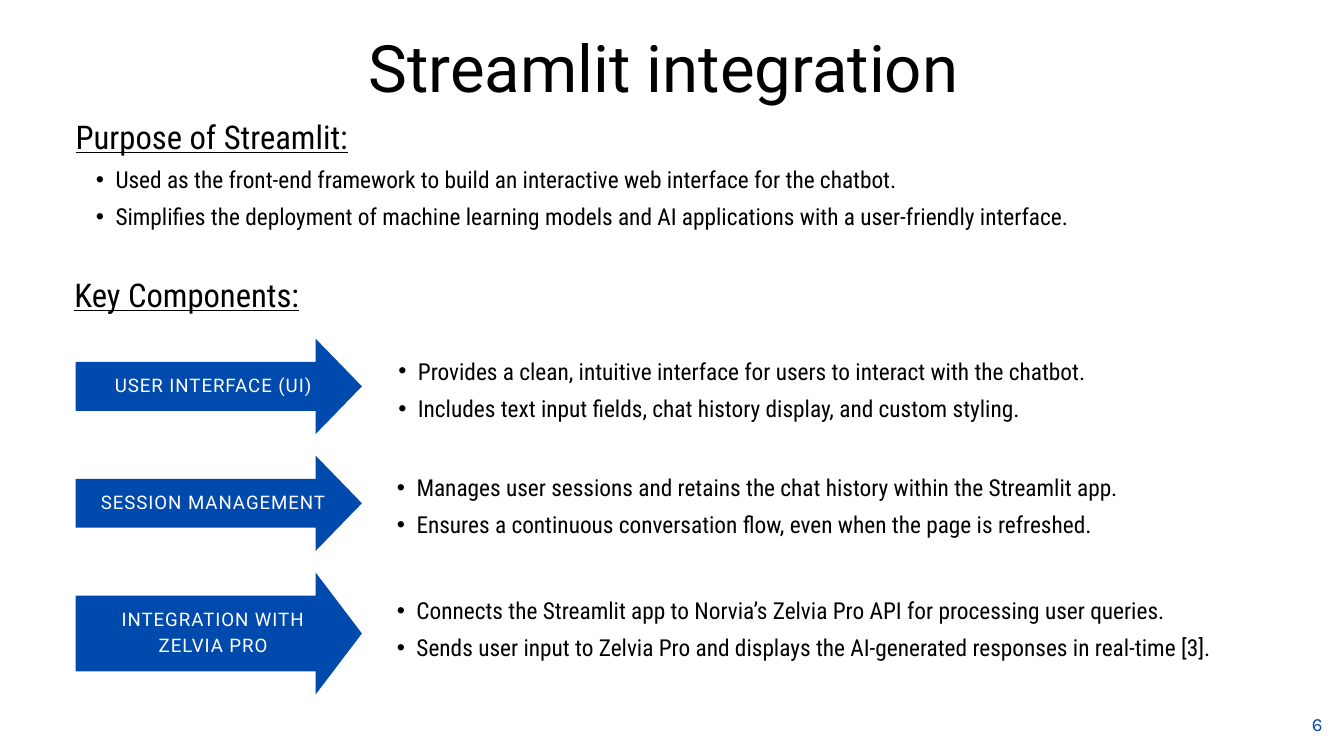
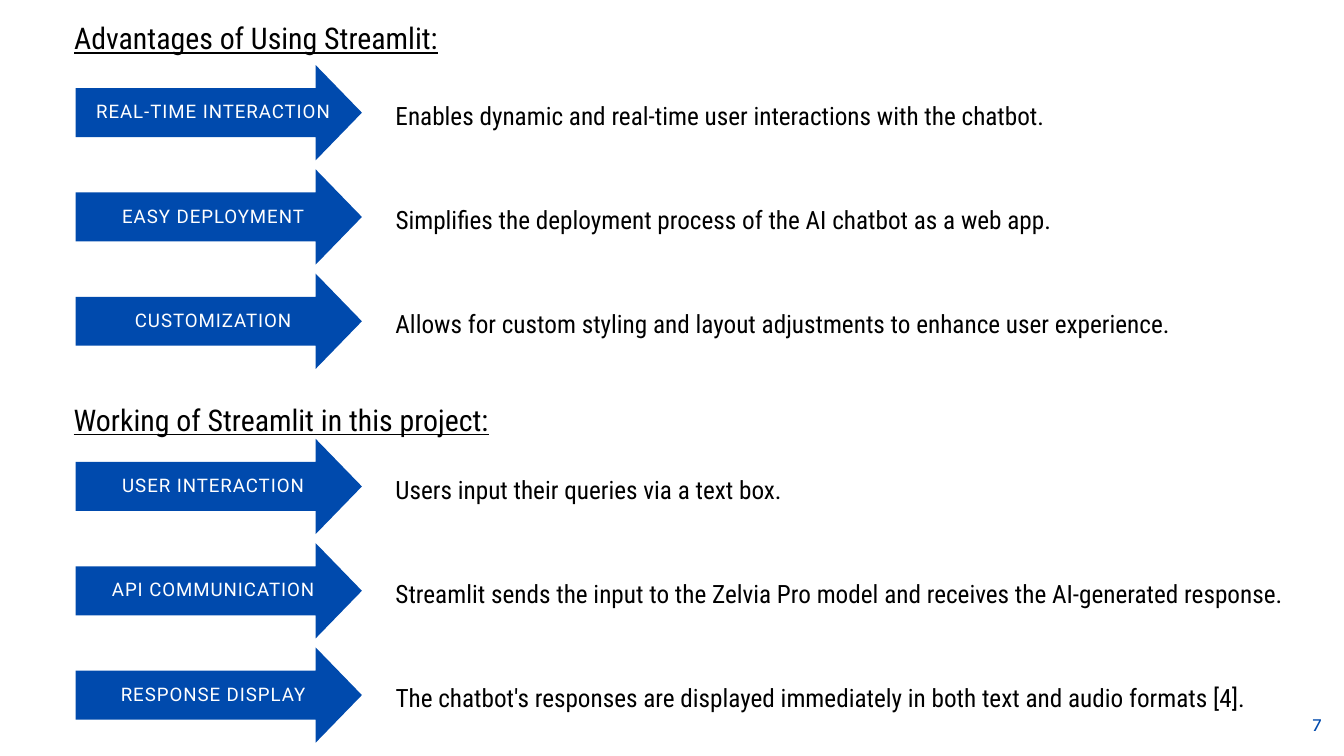
"""Build two slides on the Streamlit part of a chatbot project."""
from lxml import etree
from pptx import Presentation
from pptx import util as u
from pptx.dml.color import RGBColor
from pptx.enum import text
from pptx.oxml import ns

PX = 9525
BLUE = RGBColor(0x00, 0x4A, 0xAD)
BLACK = RGBColor(0x00, 0x00, 0x00)
WHITE = RGBColor(0xFF, 0xFF, 0xFF)
SANS, CONDENSED, NUMBER_FONT = "Roboto", "Roboto Condensed", "Karla"

MARGIN = 108
ARROW_WIDTH, ARROW_HEIGHT, TALL_ARROW = 409, 136, 174
HEAD_X, SHOULDER = 343, 33
COMPONENT_STEP, STATEMENT_STEP = 167, 149

PURPOSE = [
    "Used as the front-end framework to build an interactive web interface for the chatbot.",
    "Simplifies the deployment of machine learning models and AI applications with a user-friendly interface.",
]
COMPONENTS = [
    ("USER INTERFACE (UI)", ARROW_HEIGHT, (540, 13, 1068), [
        "Provides a clean, intuitive interface for users to interact with the chatbot.",
        "Includes text input fields, chat history display, and custom styling."]),
    ("SESSION MANAGEMENT", ARROW_HEIGHT, (538, 12, 1123), [
        "Manages user sessions and retains the chat history within the Streamlit app.",
        "Ensures a continuous conversation flow, even when the page is refreshed."]),
    ("INTEGRATION WITH ZELVIA PRO", TALL_ARROW, (538, 21, 1212), [
        "Connects the Streamlit app to Norvia’s Zelvia Pro API for processing user queries.",
        "Sends user input to Zelvia Pro and displays the AI-generated responses in real-time [3]."]),
]
ADVANTAGES = [
    ("REAL-TIME INTERACTION", 1068,
     "Enables dynamic and real-time user interactions with the chatbot."),
    ("EASY DEPLOYMENT", 1123,
     "Simplifies the deployment process of the AI chatbot as a web app."),
    ("CUSTOMIZATION", 1178,
     "Allows for custom styling and layout adjustments to enhance user experience."),
]
WORKING = [
    ("USER INTERACTION", 1068,
     "Users input their queries via a text box."),
    ("API COMMUNICATION", 1292,
     "Streamlit sends the input to the Zelvia Pro model and receives the AI-generated response."),
    ("RESPONSE DISPLAY", 1225,
     "The chatbot's responses are displayed immediately in both text and audio formats [4]."),
]


def add_frame(shapes, left, top, width, height, inset=0, grow=True):
    """Add a wrapping text box and return its text frame."""
    frame = shapes.add_textbox(*(n * PX for n in (left, top, width, height))).text_frame
    frame.word_wrap = True
    frame.auto_size = text.MSO_AUTO_SIZE.SHAPE_TO_FIT_TEXT if grow else text.MSO_AUTO_SIZE.NONE
    frame.margin_left = frame.margin_right = inset * PX
    frame.margin_top = frame.margin_bottom = inset * PX
    return frame


def add_line(frame, words, size, spacing, font=CONDENSED, color=BLACK,
             centered=False, underline=False, bullet=False, tracking=0):
    """Write one formatted paragraph at the end of a text frame."""
    para = frame.add_paragraph() if frame.text else frame.paragraphs[0]
    para.alignment = text.PP_ALIGN.CENTER if centered else text.PP_ALIGN.LEFT
    para.line_spacing = u.Pt(spacing)
    span = para.add_run()
    span.text = words
    span.font.size = u.Pt(size)
    span.font.name = font
    span.font.color.rgb = color
    span.font.underline = underline
    if tracking:
        span.font._element.set("spc", str(tracking * 100))
    if bullet:
        para.level = 1
        props = para._p.get_or_add_pPr()
        props.set("marL", str(57 * PX))
        props.set("indent", str(-28 * PX))
        etree.SubElement(props, ns.qn("a:buFont")).set("typeface", "Arial")
        etree.SubElement(props, ns.qn("a:buChar")).set("char", "•")


def add_heading(page, words, box, size):
    """Add an underlined section heading centred in its box."""
    add_line(add_frame(page.shapes, *box), words, size, size * 1.4,
             centered=True, underline=True)


def add_arrow(page, label, top, height=ARROW_HEIGHT):
    """Add a labelled block arrow at the left margin."""
    group = page.shapes.add_group_shape()
    builder = group.shapes.build_freeform(ARROW_WIDTH, height // 2, scale=PX)
    builder.add_line_segments([
        (HEAD_X, 0), (HEAD_X, SHOULDER), (0, SHOULDER), (0, height - SHOULDER),
        (HEAD_X, height - SHOULDER), (HEAD_X, height)], close=True)
    arrow = builder.convert_to_shape(MARGIN * PX, top * PX)
    arrow.shadow.inherit = False
    arrow.fill.solid()
    arrow.fill.fore_color.rgb = BLUE
    arrow.line.fill.background()
    frame = add_frame(group.shapes, MARGIN, top + 24, 393, height - SHOULDER - 24,
                      inset=20, grow=False)
    frame.vertical_anchor = text.MSO_ANCHOR.MIDDLE
    add_line(frame, label, 20, 28, font=SANS, color=WHITE, centered=True, tracking=1)


def add_components(page, top):
    """Add arrows with a bulleted list beside each."""
    for row, (label, height, (left, drop, width), points) in enumerate(COMPONENTS):
        row_top = top + row * COMPONENT_STEP
        add_arrow(page, label, row_top, height)
        frame = add_frame(page.shapes, left, row_top + drop, width, 153)
        for point in points:
            add_line(frame, point, 25, 39.7, bullet=True)


def add_statements(page, rows, top):
    """Add arrows with one sentence beside each."""
    for row, (label, width, sentence) in enumerate(rows):
        row_top = top + row * STATEMENT_STEP
        add_arrow(page, label, row_top)
        frame = add_frame(page.shapes, 565, row_top + 36, width, 54)
        add_line(frame, sentence, 27, 42.9)


def add_page(deck, number):
    """Add a blank page with its number in the corner."""
    page = deck.slides.add_slide(deck.slide_layouts[6])
    add_line(add_frame(page.shapes, 1874, 1013, 15, 36), str(number), 20, 28,
             font=NUMBER_FONT, color=BLUE, centered=True)
    return page


def build_integration(deck):
    """Build the page on purpose and key components."""
    page = add_page(deck, 6)
    add_line(add_frame(page.shapes, 231, 20, 1457, 127), "Streamlit integration ",
             70, 98, font=SANS, centered=True)
    purpose = add_frame(page.shapes, MARGIN, 148, 1665, 180)
    add_line(purpose, "Purpose of Streamlit:", 35, 56, underline=True)
    for point in PURPOSE:
        add_line(purpose, point, 25, 40, bullet=True)
    add_heading(page, "Key Components:", (33, 383, 468, 61), 35)
    add_components(page, 484)


def build_advantages(deck):
    """Build the page on advantages and working."""
    page = add_page(deck, 7)
    add_heading(page, "Advantages of Using Streamlit:", (52, 20, 628, 57), 32)
    add_statements(page, ADVANTAGES, 93)
    add_heading(page, "Working of Streamlit in this project:", (36, 565, 732, 57), 32)
    add_statements(page, WORKING, 627)


def main():
    """Build and save the deck."""
    deck = Presentation()
    deck.slide_width, deck.slide_height = 1920 * PX, 1080 * PX
    build_integration(deck)
    build_advantages(deck)
    deck.save("out.pptx")


if __name__ == "__main__":
    main()
